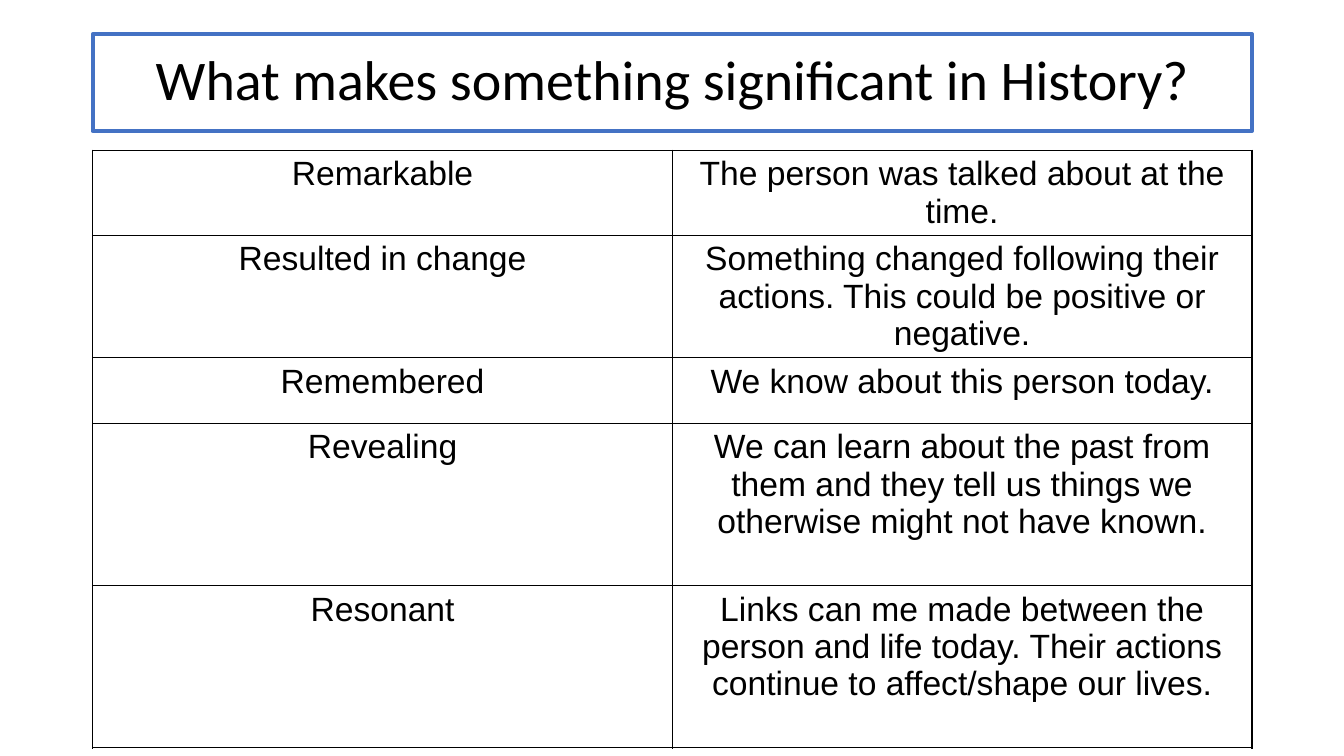
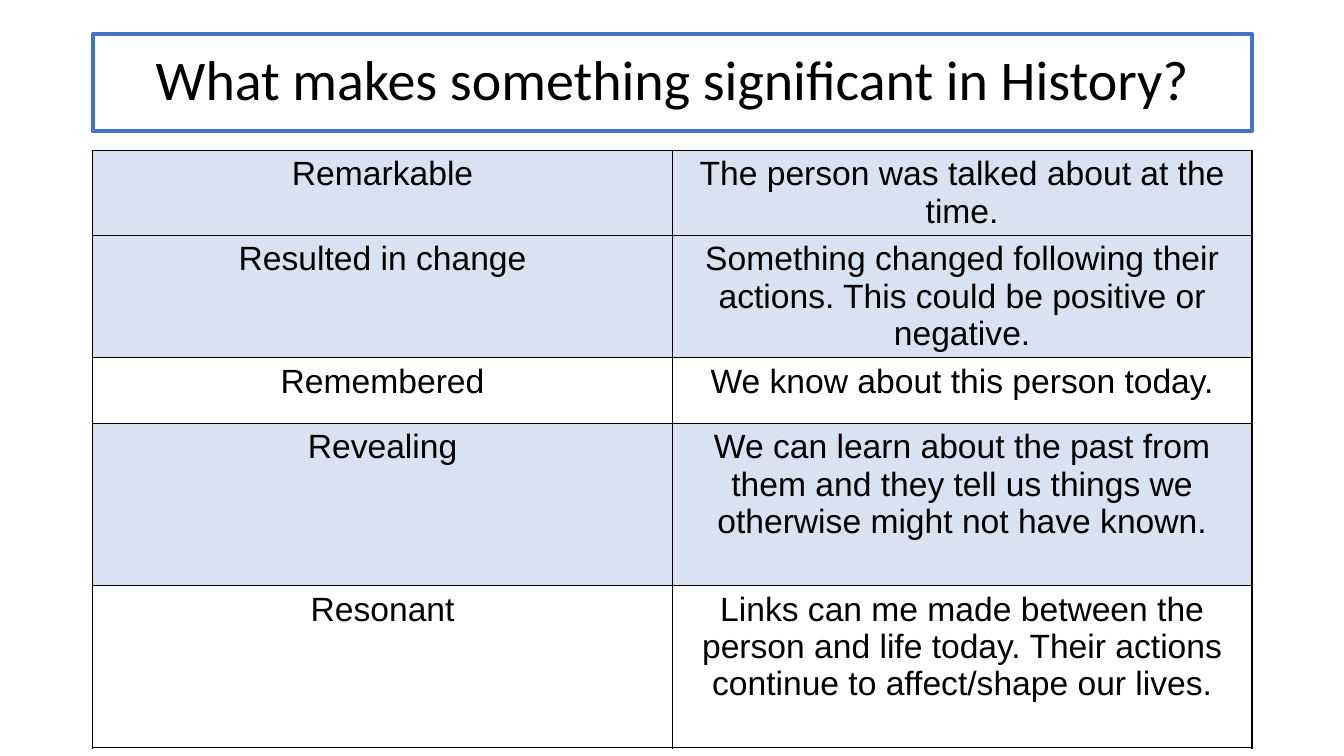
"""Build two slides on what makes something significant in History."""
from lxml.etree import SubElement
from pptx import Presentation
from pptx.dml.color import RGBColor as RGB
from pptx.enum.text import MSO_ANCHOR as ANCHOR, MSO_AUTO_SIZE as AUTO, PP_ALIGN as ALIGN
from pptx.oxml.ns import qn
from pptx.util import Inches, Pt

COLORS = {"text": "000000", "paper": "FFFFFF", "frame": "4472C4", "mark": "D8E2F3"}
TITLE = "What makes something significant in History?"
CRITERIA = [
    ("Remarkable", "The person was talked about at the time.", 8.67),
    ("Resulted in change",
     "Something changed following their actions. This could be positive or negative.", 15.07),
    ("Remembered", "We know about this person today.", 8.67),
    ("Revealing",
     "We can learn about the past from them and they tell us things we otherwise "
     "might not have known.", 21.47),
    ("Resonant",
     "Links can me made between the person and life today. Their actions continue "
     "to affect/shape our lives.", 21.47),
]
MARKED_ROWS = [(), ("Remarkable", "Resulted in change", "Revealing")]


class Deck:
    """Style and current slide, on a grid of 100 columns by 100 rows."""

    left, width = 6.9, 86.25

    def __init__(self):
        self.prs = Presentation()
        self.prs.slide_width, self.prs.slide_height = Inches(13.33), Inches(7.5)
        self.s = None

    def x(self, cols):
        return int(self.prs.slide_width * cols / 100)

    def y(self, rows):
        return int(self.prs.slide_height * rows / 100)

    def color(self, name):
        return RGB.from_string(COLORS[name])

    def box(self, top, height):
        return self.x(self.left), self.y(top), self.x(self.width), self.y(height)

    def add_slide(self):
        self.s = self.prs.slides.add_slide(self.prs.slide_layouts[5])

    def set_text(self, tf, text, font, size):
        tf.text = text
        p = tf.paragraphs[0]
        p.alignment = ALIGN.CENTER
        r = p.runs[0]
        r.font.name, r.font.size = font, Pt(size)
        r.font.color.rgb = self.color("text")
        return p

    def title(self, text, top, height):
        sp = self.s.shapes.title
        sp.left, sp.top, sp.width, sp.height = self.box(top, height)
        sp.fill.solid()
        sp.fill.fore_color.rgb = self.color("paper")
        sp.line.color.rgb = self.color("frame")
        sp.line.width = Pt(3)
        tf = sp.text_frame
        tf.auto_size, tf.vertical_anchor = AUTO.NONE, ANCHOR.MIDDLE
        self.set_text(tf, text, "Calibri", 40).line_spacing = 0.9

    def border(self, cell):
        tc_pr = cell._tc.get_or_add_tcPr()
        for side in ("a:lnL", "a:lnR", "a:lnT", "a:lnB"):
            ln = SubElement(tc_pr, qn(side), w=str(Pt(1)))
            fill = SubElement(ln, qn("a:solidFill"))
            SubElement(fill, qn("a:srgbClr"), val=COLORS["text"])

    def cell(self, cell, text, marked):
        self.set_text(cell.text_frame, text, "Arial", 24)
        self.border(cell)
        if marked:
            cell.fill.solid()
            cell.fill.fore_color.rgb = self.color("mark")
        else:
            cell.fill.background()

    def table(self, rows, marked, top, height):
        frame = self.s.shapes.add_table(len(rows), 2, *self.box(top, height))
        table = frame.table
        table.first_row = table.horz_banding = False
        for i, (term, meaning, row_height) in enumerate(rows):
            table.rows[i].height = self.y(row_height)
            for j, text in enumerate((term, meaning)):
                self.cell(table.cell(i, j), text, term in marked)
        frame.height = self.y(height)


def main():
    deck = Deck()
    for marked in MARKED_ROWS:
        deck.add_slide()
        deck.title(TITLE, 4.53, 12.8)
        deck.table(CRITERIA, marked, 19.87, 81.07)
    deck.prs.save("out.pptx")


if __name__ == "__main__":
    main()
